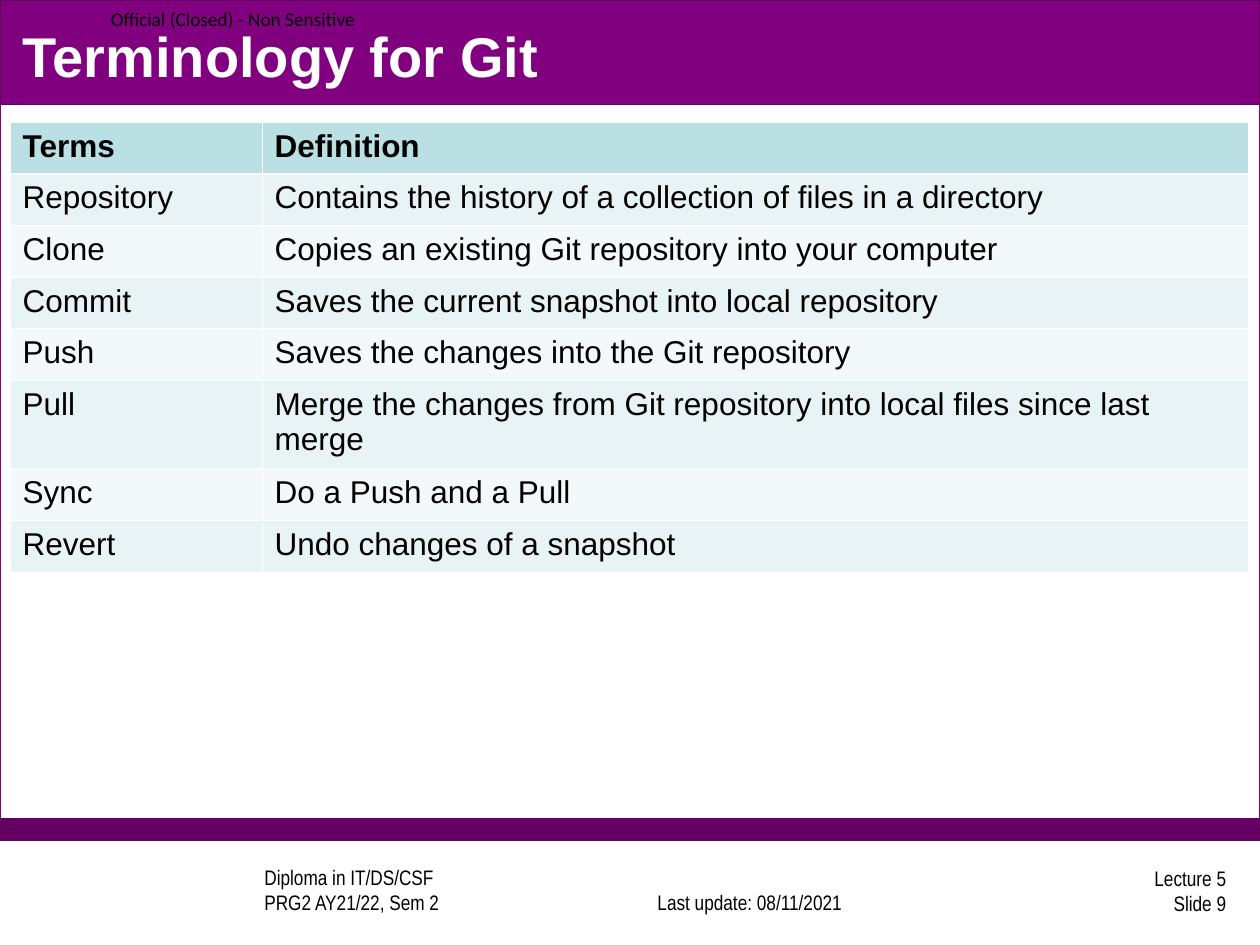
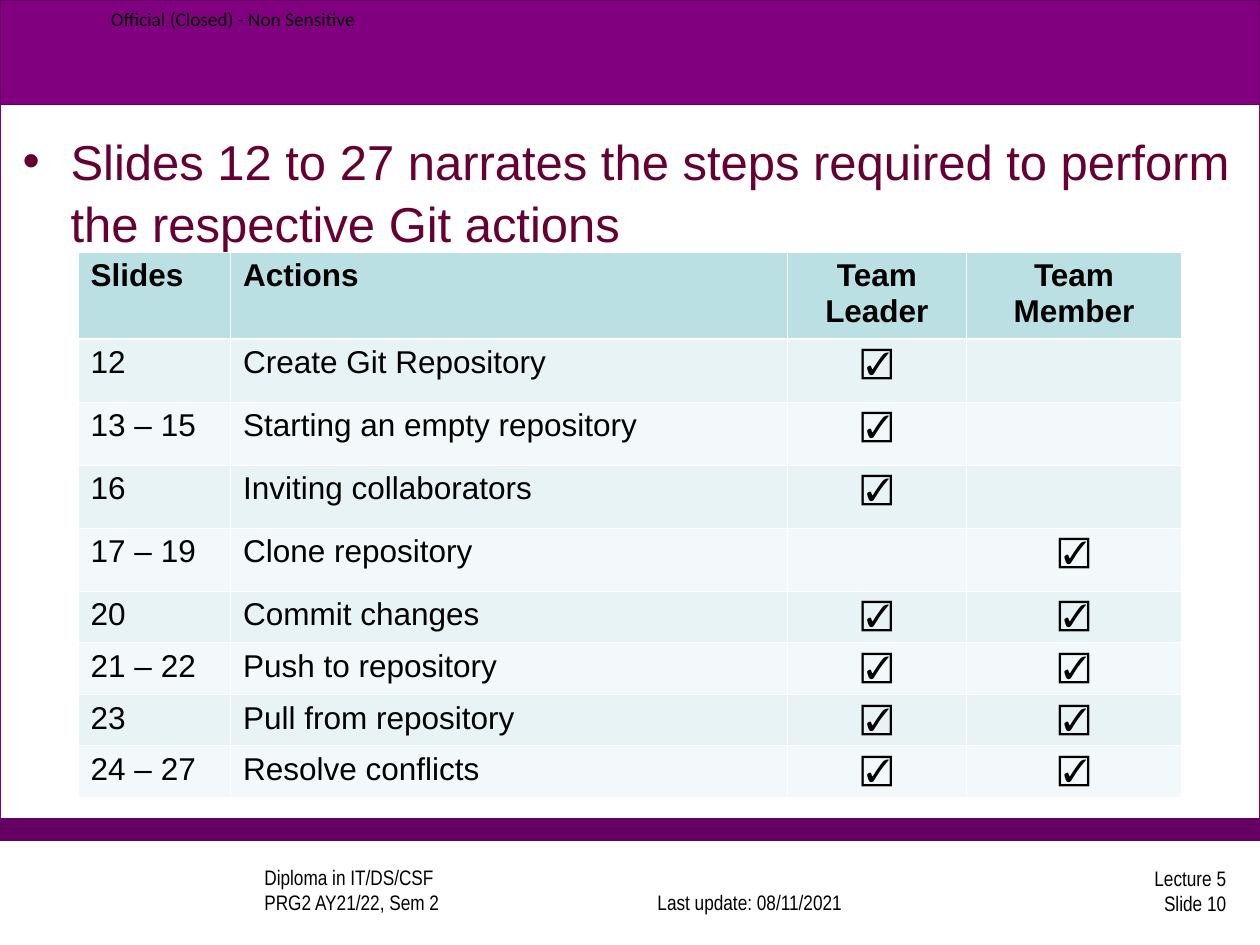
import dataclasses
import typing

import lxml.etree
import pptx
import pptx.dml.color
import pptx.enum.shapes
import pptx.enum.text
import pptx.oxml.ns
import pptx.util

Inches = pptx.util.Inches
Pt = pptx.util.Pt
RGBColor = pptx.dml.color.RGBColor
Align = pptx.enum.text.PP_ALIGN
Anchor = pptx.enum.text.MSO_ANCHOR
qn = pptx.oxml.ns.qn

WHITE = RGBColor(0xFF, 0xFF, 0xFF)
BLACK = RGBColor(0x00, 0x00, 0x00)
PURPLE = RGBColor(0x80, 0x00, 0x80)
DARK_PURPLE = RGBColor(0x64, 0x00, 0x64)
MAROON = RGBColor(0x66, 0x00, 0x33)
HEADER_TEAL = RGBColor(0xBB, 0xE0, 0xE3)
ROW_TEAL = RGBColor(0xE7, 0xF3, 0xF4)
ROW_PALE = RGBColor(0xF3, 0xF9, 0xFA)

TITLE_LAYOUT = 5
CONTENT_LAYOUT = 1
THIN_BORDER = Pt(0.45)
THICK_BORDER = Pt(1.47)
TICK = "☑"


@dataclasses.dataclass(frozen=True)
class Box:
    left: float
    top: float
    width: float
    height: float

    def lengths(self) -> tuple:
        return tuple(Inches(value) for value in dataclasses.astuple(self))


@dataclasses.dataclass(frozen=True)
class Band:
    box: Box
    fill: RGBColor
    line: RGBColor
    opacity: int = 100


@dataclasses.dataclass(frozen=True)
class Label:
    box: Box
    text: str
    font: str = "Arial Narrow"
    size: float = 12
    align: Align = Align.LEFT
    anchor: Anchor = Anchor.BOTTOM
    inset: bool = True


@dataclasses.dataclass(frozen=True)
class Grid:
    left: float
    top: float
    column_widths: tuple
    row_heights: tuple
    rows: tuple
    centered_from: int


BANDS = (
    Band(Box(0, 0, 10, 6.67), WHITE, PURPLE, 90),
    Band(Box(0, 6.5, 10, 0.17), DARK_PURPLE, DARK_PURPLE),
    Band(Box(0, 0, 10, 0.83), PURPLE, DARK_PURPLE),
)

LABELS = (
    Label(Box(2, 6.89, 2.67, 0.42), "Diploma in IT/DS/CSF\nPRG2 AY21/22, Sem 2"),
    Label(Box(4.91, 6.89, 2.08, 0.42), "Last update: 08/11/2021", align=Align.CENTER),
    Label(Box(7.75, 6.86, 2.08, 0.42), "Lecture 5\nSlide {number}",
          align=Align.RIGHT, anchor=Anchor.MIDDLE),
    Label(Box(0.88, 0.06, 2.13, 0.18), "Official (Closed) - Non Sensitive",
          font="Calibri", size=11, anchor=Anchor.MIDDLE, inset=False),
)

TITLE_BOX = Box(0.08, 0.13, 9.83, 0.62)
BODY_BOX = Box(0.08, 0.97, 9.83, 5.45)

TERMS = Grid(
    0.08, 0.97, (2, 7.83), (0.41,) * 5 + (0.7,) + (0.41,) * 2,
    (
        ("Terms", "Definition"),
        ("Repository", "Contains the history of a collection of files in a directory"),
        ("Clone", "Copies an existing Git repository into your computer"),
        ("Commit", "Saves the current snapshot into local repository"),
        ("Push", "Saves the changes into the Git repository"),
        ("Pull", "Merge the changes from Git repository into local files since last merge"),
        ("Sync", "Do a Push and a Pull"),
        ("Revert", "Undo changes of a snapshot"),
    ),
    centered_from=2,
)

ACTIONS = Grid(
    0.62, 2, (1.21, 4.42, 1.42, 1.71), (0.69,) + (0.5,) * 4 + (0.41,) * 4,
    (
        ("Slides", "Actions", "Team Leader", "Team Member"),
        ("12", "Create Git Repository", TICK, ""),
        ("13 – 15", "Starting an empty repository", TICK, ""),
        ("16", "Inviting collaborators", TICK, ""),
        ("17 – 19", "Clone repository", "", TICK),
        ("20", "Commit changes", TICK, TICK),
        ("21 – 22", "Push to repository", TICK, TICK),
        ("23", "Pull from repository", TICK, TICK),
        ("24 – 27", "Resolve conflicts", TICK, TICK),
    ),
    centered_from=2,
)


def write_text(frame, text: str, *, font: str = "Arial", size: float = 18,
               color: RGBColor = BLACK, bold: bool = False,
               align: Align = Align.LEFT, anchor: Anchor = Anchor.TOP) -> None:
    frame.word_wrap = True
    frame.vertical_anchor = anchor
    frame.text = text
    for paragraph in frame.paragraphs:
        paragraph.alignment = align
        paragraph.space_before = Pt(0)
        for run in paragraph.runs:
            run.font.name = font
            run.font.size = Pt(size)
            run.font.bold = bold
            run.font.color.rgb = color


def place(shape, box: Box) -> None:
    shape.left, shape.top, shape.width, shape.height = box.lengths()


def draw_band(slide, band: Band) -> None:
    shape = slide.shapes.add_shape(
        pptx.enum.shapes.MSO_SHAPE.RECTANGLE, *band.box.lengths())
    shape.shadow.inherit = False
    shape.fill.solid()
    shape.fill.fore_color.rgb = band.fill
    shape.line.color.rgb = band.line
    shape.line.width = Pt(0.75)
    if band.opacity < 100:
        color = shape.fill._xPr.find(f"{qn('a:solidFill')}/{qn('a:srgbClr')}")
        lxml.etree.SubElement(color, qn("a:alpha"), val=str(band.opacity * 1000))


def draw_label(slide, label: Label, number: int) -> None:
    frame = slide.shapes.add_textbox(*label.box.lengths()).text_frame
    if not label.inset:
        frame.margin_left = frame.margin_right = 0
        frame.margin_top = frame.margin_bottom = 0
    write_text(frame, label.text.format(number=number), font=label.font,
               size=label.size, align=label.align, anchor=label.anchor)


def add_borders(cell, widths: typing.Dict[str, int]) -> None:
    properties = cell._tc.get_or_add_tcPr()
    for side, width in widths.items():
        line = lxml.etree.SubElement(properties, qn(f"a:ln{side}"), w=str(int(width)))
        fill = lxml.etree.SubElement(line, qn("a:solidFill"))
        lxml.etree.SubElement(fill, qn("a:srgbClr"), val=str(WHITE))


def row_color(row: int) -> RGBColor:
    if row == 0:
        return HEADER_TEAL
    return ROW_TEAL if row % 2 else ROW_PALE


def draw_grid(slide, grid: Grid) -> None:
    box = Box(grid.left, grid.top, sum(grid.column_widths), sum(grid.row_heights))
    table = slide.shapes.add_table(
        len(grid.rows), len(grid.column_widths), *box.lengths()).table
    for column, width in zip(table.columns, grid.column_widths):
        column.width = Inches(width)
    for row, height in zip(table.rows, grid.row_heights):
        row.height = Inches(height)
    for row_index, texts in enumerate(grid.rows):
        for column_index, text in enumerate(texts):
            cell = table.cell(row_index, column_index)
            add_borders(cell, {
                "L": THIN_BORDER,
                "R": THIN_BORDER,
                "T": THICK_BORDER if row_index == 1 else THIN_BORDER,
                "B": THICK_BORDER if row_index == 0 else THIN_BORDER,
            })
            cell.fill.solid()
            cell.fill.fore_color.rgb = row_color(row_index)
            centered = column_index >= grid.centered_from
            write_text(cell.text_frame, text, bold=row_index == 0,
                       align=Align.CENTER if centered else Align.LEFT)


def add_base_slide(presentation, layout: int, number: int):
    slide = presentation.slides.add_slide(presentation.slide_layouts[layout])
    placeholders = [shape._element for shape in slide.placeholders]
    for band in BANDS:
        draw_band(slide, band)
    for label in LABELS:
        draw_label(slide, label, number)
    for element in placeholders:
        slide.shapes._spTree.append(element)
    return slide


def add_terms_slide(presentation) -> None:
    slide = add_base_slide(presentation, TITLE_LAYOUT, 9)
    title = slide.shapes.title
    place(title, TITLE_BOX)
    title.text_frame.auto_size = pptx.enum.text.MSO_AUTO_SIZE.NONE
    write_text(title.text_frame, "Terminology for Git", size=32, color=WHITE,
               bold=True, anchor=Anchor.MIDDLE)
    draw_grid(slide, TERMS)


def add_actions_slide(presentation) -> None:
    slide = add_base_slide(presentation, CONTENT_LAYOUT, 10)
    title = slide.shapes.title._element
    title.getparent().remove(title)
    body = slide.placeholders[1]
    place(body, BODY_BOX)
    body.text_frame.auto_size = pptx.enum.text.MSO_AUTO_SIZE.NONE
    write_text(body.text_frame,
               "Slides 12 to 27 narrates the steps required to perform "
               "the respective Git actions", size=28, color=MAROON)
    paragraph = body.text_frame.paragraphs[0]
    paragraph.line_spacing = 1.05
    properties = paragraph._p.get_or_add_pPr()
    properties.set("marL", str(Inches(0.38)))
    properties.set("indent", str(Inches(-0.38)))
    bullet_color = lxml.etree.SubElement(properties, qn("a:buClr"))
    lxml.etree.SubElement(bullet_color, qn("a:srgbClr"), val=str(MAROON))
    lxml.etree.SubElement(properties, qn("a:buChar"), char="•")
    draw_grid(slide, ACTIONS)


def main() -> None:
    presentation = pptx.Presentation()
    presentation.slide_width = Inches(10)
    presentation.slide_height = Inches(7.5)
    add_terms_slide(presentation)
    add_actions_slide(presentation)
    presentation.save("out.pptx")


if __name__ == "__main__":
    main()
